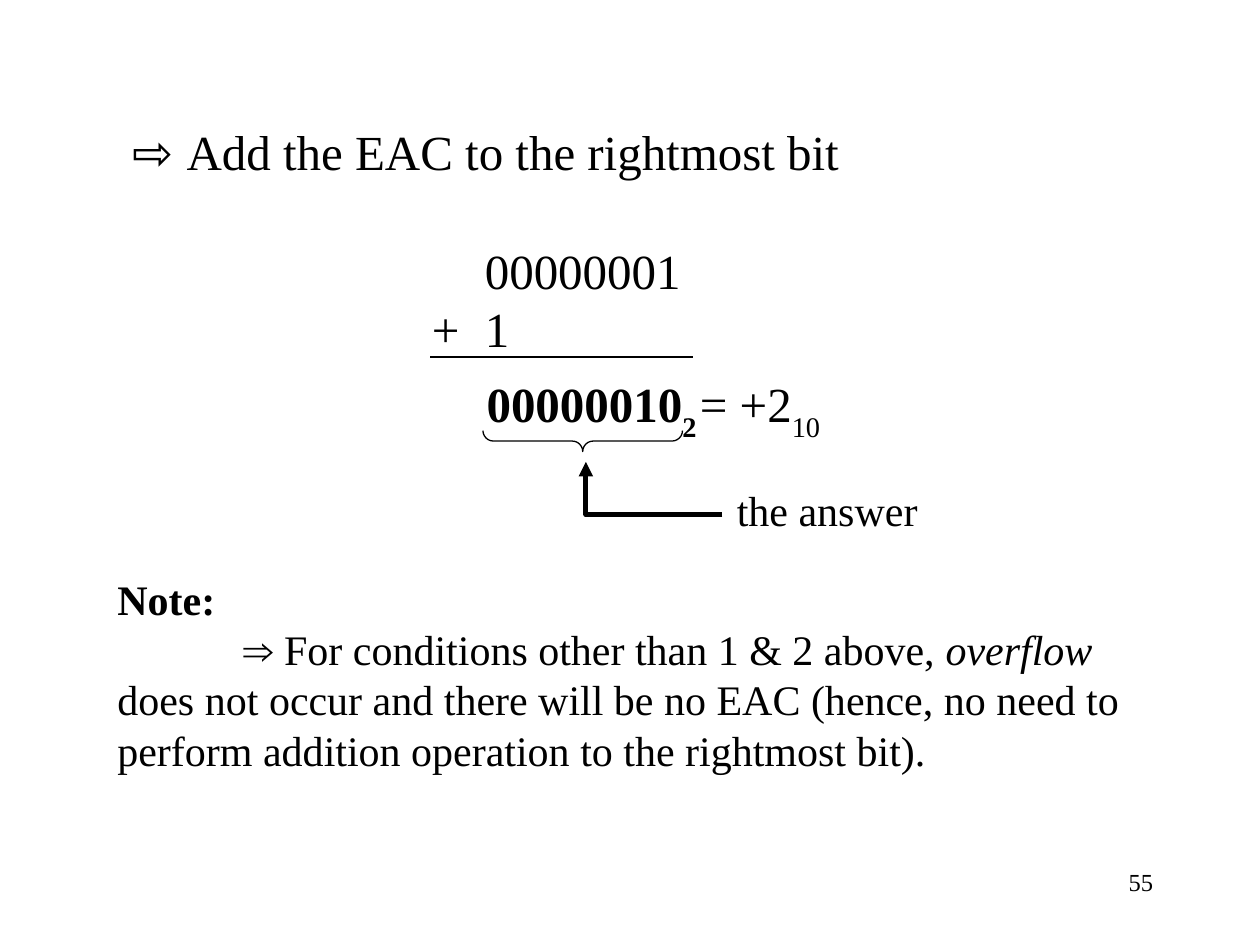
from collections import namedtuple

from lxml import etree
from pptx import Presentation, util as u
from pptx.dml.color import RGBColor
from pptx.enum import shapes, text
from pptx.oxml import ns

CELL = u.Inches(1) // 12
INK = "000000"
SERIF = "Times New Roman"
SANS = "Arial"

Box = namedtuple("Box", "left top width height")


def grid(*cells):
    return [u.Emu(round(cell * CELL)) for cell in cells]


def inside(box, left, top, width, height):
    return Box(box.left + left, box.top + top, width, height)


def colour(value):
    return RGBColor.from_string(value)


def add_child(parent, tag, **attributes):
    return etree.SubElement(parent, ns.qn(tag), **attributes)


def add_frame(page, box):
    frame = page.shapes.add_textbox(*grid(*box)).text_frame
    frame.word_wrap = True
    return frame


def format_para(para, indent=0, stop=None, align="l"):
    properties = para._p.get_or_add_pPr()
    properties.set("marL", "0")
    properties.set("indent", str(u.Inches(indent)))
    if stop is not None:
        stops = add_child(properties, "a:tabLst")
        add_child(stops, "a:tab", pos=str(u.Inches(stop)), algn=align)


def add_span(para, words, size, font=SERIF, bold=False, italic=False, lowered=False):
    span = para.add_run()
    span.text = words
    span.font.size = u.Pt(size)
    span.font.name = font
    span.font.bold = bold
    span.font.italic = italic
    span.font.color.rgb = colour(INK)
    if lowered:
        span._r.get_or_add_rPr().set("baseline", "-30000")


def draw_line(shape, width):
    shape.line.color.rgb = colour(INK)
    shape.line.width = u.Pt(width)


def outline(shape, width):
    shape.shadow.inherit = False
    shape.fill.background()
    draw_line(shape, width)


def add_sum(page, box):
    frame = add_frame(page, box)
    heading = frame.paragraphs[0]
    format_para(heading, indent=0.2)
    add_span(heading, "⇨ ", 28, SANS)
    add_span(heading, "Add the EAC to the rightmost bit", 28)

    first = frame.add_paragraph()
    format_para(first, indent=3)
    first.space_before = u.Pt(34)
    add_span(first, "00000001", 28)

    second = frame.add_paragraph()
    format_para(second, indent=2.58, stop=4.64, align="r")
    add_span(second, "+\t1", 28)

    left, right, level = box.left + 32, box.left + 57, box.top + 23
    rule = page.shapes.add_connector(
        shapes.MSO_CONNECTOR.STRAIGHT, *grid(left, level, right, level))
    draw_line(rule, 0.75)
    add_child(rule._element.spPr, "a:effectLst")


def add_result(page, box):
    para = add_frame(page, box).paragraphs[0]
    format_para(para, indent=1.68, stop=4)
    add_span(para, "00000010", 28, bold=True)
    add_span(para, "2\t", 28, bold=True, lowered=True)
    add_span(para, "= +2", 28)
    add_span(para, "10", 28, lowered=True)

    brace = page.shapes.add_shape(
        shapes.MSO_SHAPE.LEFT_BRACE, *grid(*inside(box, 29.5, -2.5, 2, 19)))
    brace.rotation = 270
    brace.adjustments[0] = 0.5
    outline(brace, 0.75)


def add_answer(page, box):
    label = add_frame(page, inside(box, 13.2, 1.6, 29, 6)).paragraphs[0]
    add_span(label, "the answer", 24)

    right, bottom = box.left + 13, box.top + 5
    builder = page.shapes.build_freeform(*grid(right, bottom))
    builder.add_line_segments(
        [grid(box.left, bottom), grid(box.left, box.top)], close=False)
    arrow = builder.convert_to_shape()
    outline(arrow, 2.75)
    add_child(arrow.line._get_or_add_ln(), "a:tailEnd", type="triangle")


def add_note(page, box):
    frame = add_frame(page, box)
    add_span(frame.paragraphs[0], "Note:", 24, bold=True)
    para = frame.add_paragraph()
    format_para(para, indent=1)
    add_span(para, "⇒", 24, SANS)
    add_span(para, " For conditions other than 1 & 2 above, ", 24)
    add_span(para, "overflow", 24, italic=True)
    add_span(para, " does not occur and there will be no EAC (hence, no need to "
                   "perform addition operation to the rightmost bit).", 24)


def add_page_number(page, box):
    para = add_frame(page, box).paragraphs[0]
    para.alignment = text.PP_ALIGN.RIGHT
    add_span(para, "55", 14)


def main():
    deck = Presentation()
    deck.slide_width, deck.slide_height = grid(120, 90)
    page = deck.slides.add_slide(deck.slide_layouts[6])
    add_page_number(page, Box(86, 82, 25, 6))
    add_sum(page, Box(9, 11, 102, 23.6))
    add_result(page, Box(25, 35, 63, 14.4))
    add_answer(page, Box(55.8, 44, 42.2, 7.6))
    add_note(page, Box(10, 54, 101, 20.4))
    deck.save("out.pptx")


if __name__ == "__main__":
    main()
